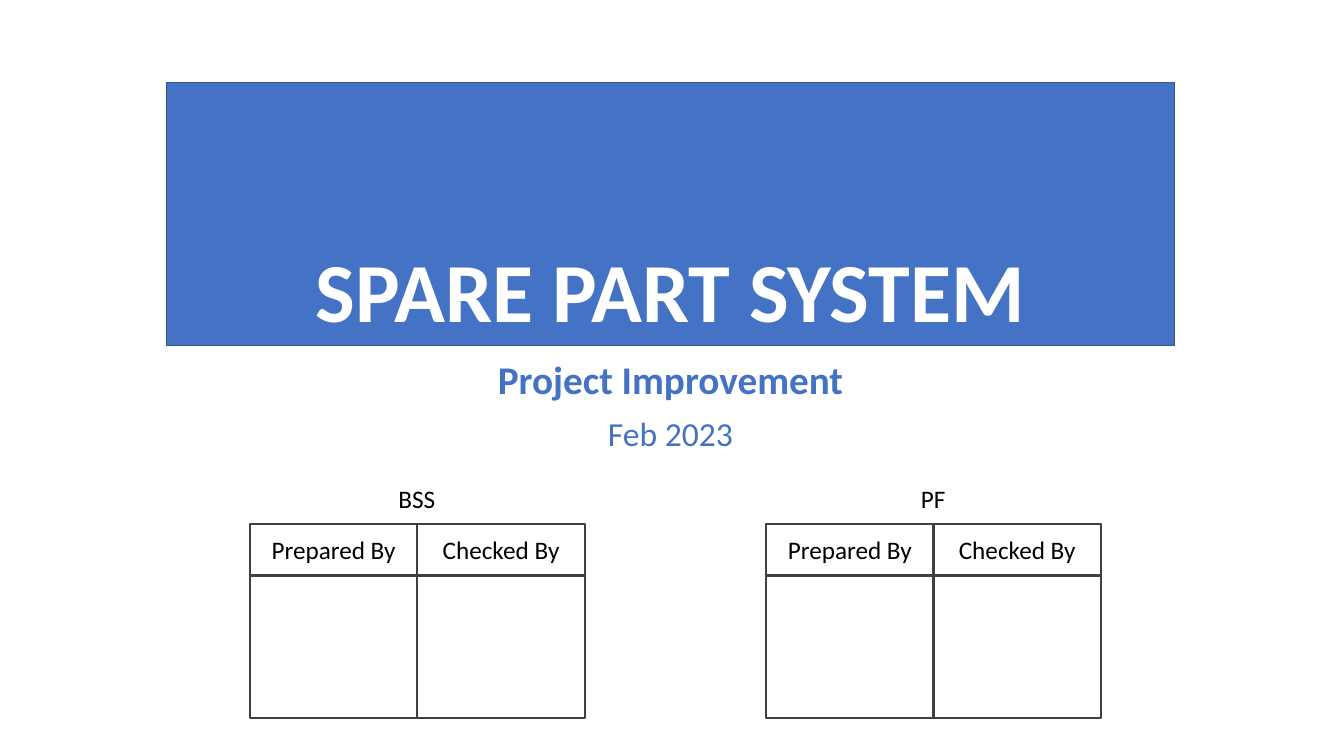
from pptx import Presentation
from pptx import util as u
from pptx.dml.color import RGBColor
from pptx.enum import shapes, text

PX = 9144  # EMU per px, 100 px to the inch
FONT = "Calibri"
BLUE = RGBColor(0x44, 0x72, 0xC4)
DARK_BLUE = RGBColor(0x32, 0x54, 0x91)
GREY = RGBColor(0x40, 0x40, 0x40)
BLACK = RGBColor(0, 0, 0)
WHITE = RGBColor(0xFF, 0xFF, 0xFF)


def px(*lengths):
    return [u.Emu(length * PX) for length in lengths]


def write(paragraph, wording, size, color, bold=False):
    paragraph.text = wording
    paragraph.alignment = text.PP_ALIGN.CENTER
    font = paragraph.font
    font.name, font.size, font.bold = FONT, u.Pt(size), bold
    font.color.rgb = color


def add_box(parent, box, line_color, line_width, fill=None):
    rect = parent.add_shape(shapes.MSO_SHAPE.RECTANGLE, *px(*box))
    rect.shadow.inherit = False
    if fill is None:
        rect.fill.background()
    else:
        rect.fill.solid()
        rect.fill.fore_color.rgb = fill
    rect.line.color.rgb = line_color
    rect.line.width = u.Pt(line_width)
    return rect


def add_banner(slide, box, title):
    frame = add_box(slide.shapes, box, DARK_BLUE, 1, BLUE).text_frame
    frame.vertical_anchor = text.MSO_ANCHOR.BOTTOM
    write(frame.paragraphs[0], title, 60, WHITE, bold=True)
    frame.paragraphs[0].line_spacing = 0.9


def add_subtitle(slide, box, project, date):
    frame = slide.shapes.add_textbox(*px(*box)).text_frame
    frame.word_wrap = True
    write(frame.paragraphs[0], project, 28, BLUE, bold=True)
    write(frame.add_paragraph(), date, 24, BLUE)
    for paragraph in frame.paragraphs:
        paragraph.line_spacing = 0.9
        paragraph.space_before = u.Pt(10)


def add_sign_off(slide, box, team, team_width):
    """Team name above a grid of two headed signature boxes."""
    left, top, width, height = box
    label_height, head_height = 40, 51
    grid_top = top + 45
    body_top = grid_top + head_height
    column = width // 2

    # Signature boxes and their headings
    grid = slide.shapes.add_group_shape().shapes
    for i, heading in enumerate(("Prepared By", "Checked By")):
        x = left + i * column
        add_box(grid, (x, body_top, column, top + height - body_top), GREY, 1.5)
        head = add_box(grid, (x, grid_top, column, head_height), GREY, 1.5)
        head.text_frame.vertical_anchor = text.MSO_ANCHOR.MIDDLE
        write(head.text_frame.paragraphs[0], heading, 18, BLACK)

    # Team name, centred over the grid
    label_left = left + (width - team_width) // 2
    label = slide.shapes.add_textbox(*px(label_left, top, team_width, label_height))
    label.text_frame.word_wrap = False
    write(label.text_frame.paragraphs[0], team, 18, BLACK)


def main():
    deck = Presentation()
    deck.slide_width, deck.slide_height = px(1333, 750)
    slide = deck.slides.add_slide(deck.slide_layouts[6])

    add_banner(slide, (165, 82, 1000, 261), "SPARE PART SYSTEM")
    add_subtitle(slide, (165, 353, 1000, 119), "Project Improvement", "Feb 2023")
    add_sign_off(slide, (248, 475, 332, 237), "BSS", 57)
    add_sign_off(slide, (760, 475, 332, 237), "PF", 45)

    deck.save("out.pptx")


if __name__ == "__main__":
    main()
